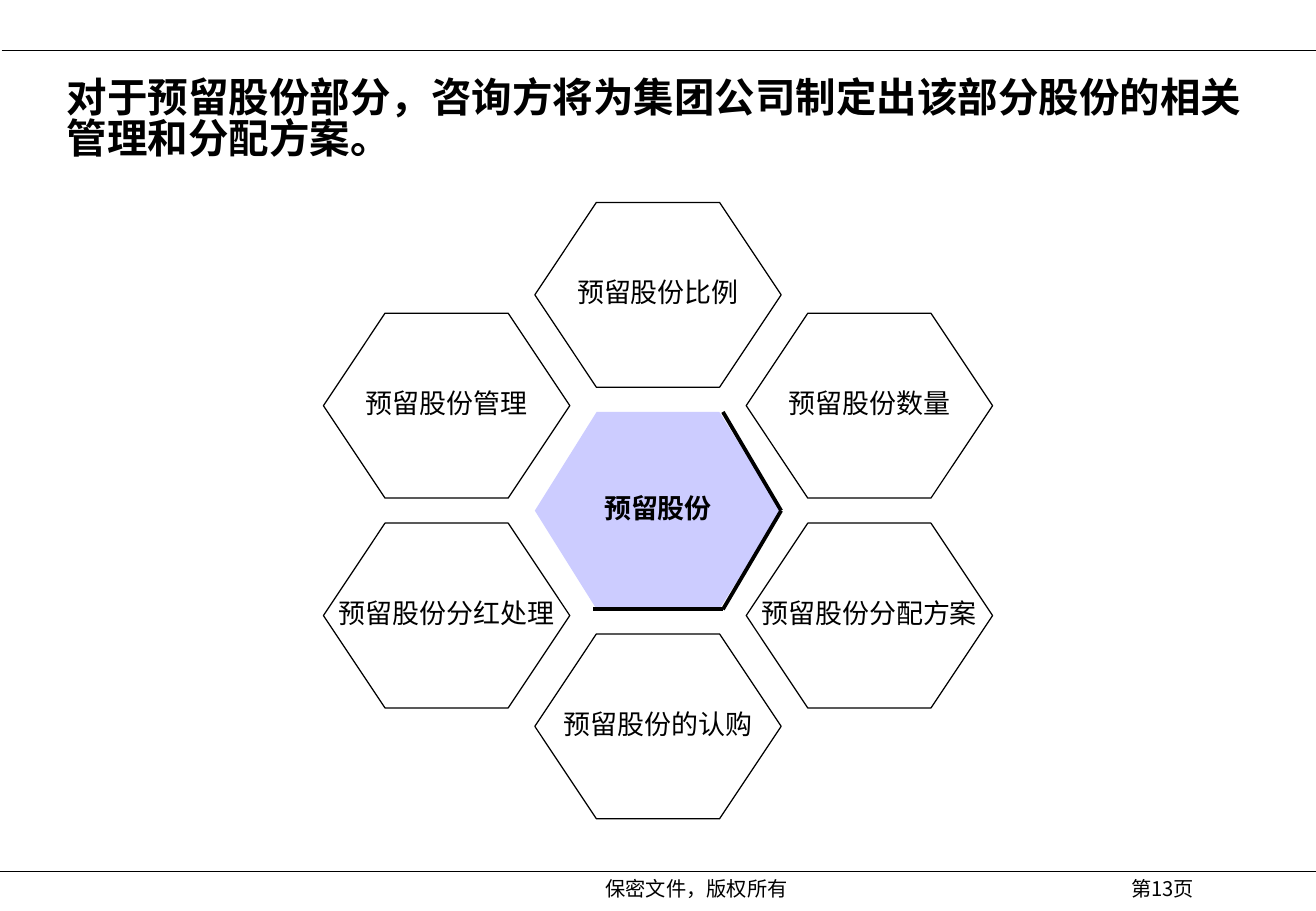
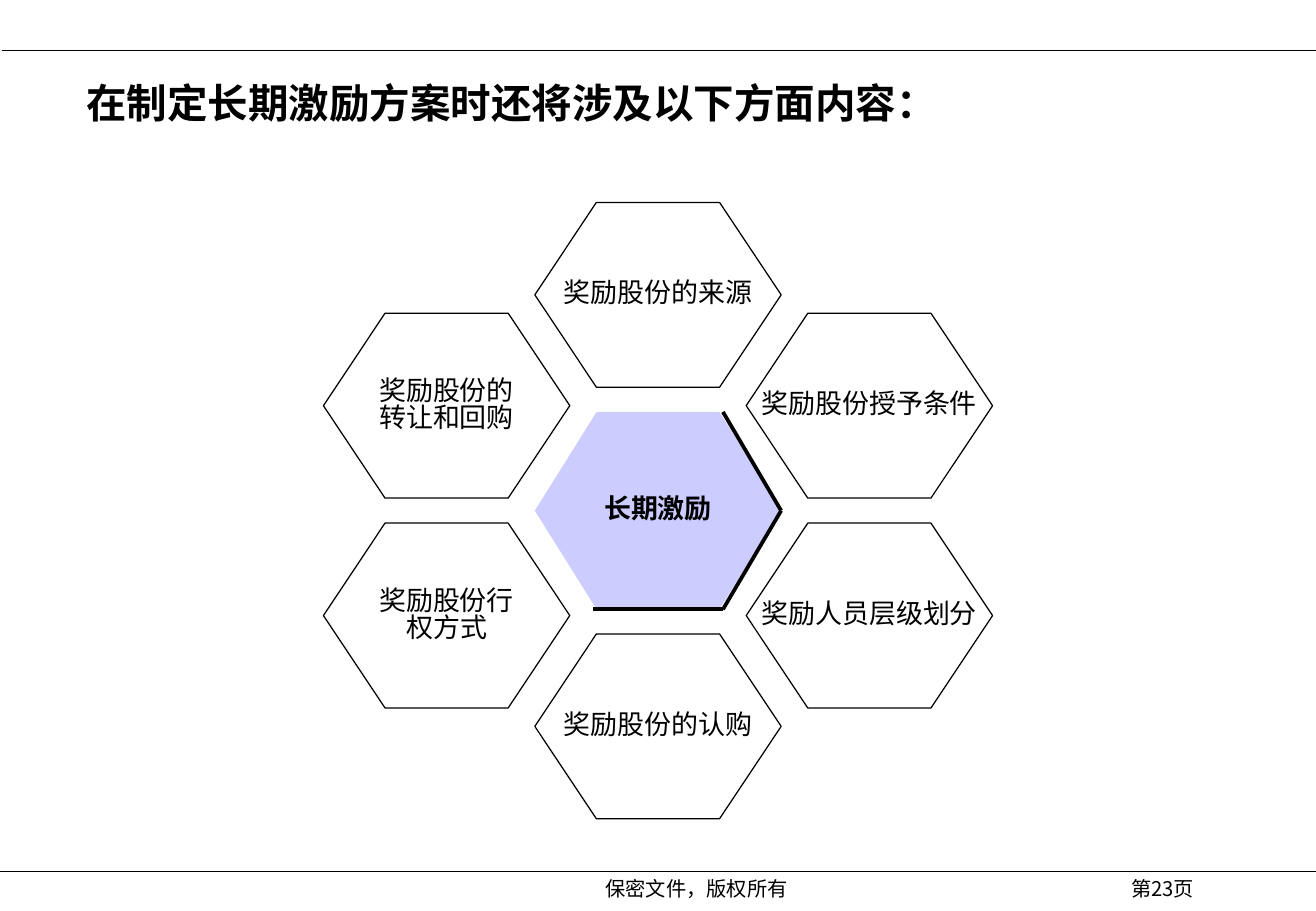
"""Builds two honeycomb slides on reserved shares and long-term incentives."""
from dataclasses import dataclass

from lxml import etree
from pptx import Presentation
from pptx.dml.color import RGBColor
from pptx.enum.lang import MSO_LANGUAGE_ID
from pptx.enum.shapes import MSO_CONNECTOR, MSO_SHAPE
from pptx.enum.text import MSO_ANCHOR, MSO_AUTO_SIZE, PP_ALIGN
from pptx.oxml.ns import qn
from pptx.util import Pt

CHINESE = MSO_LANGUAGE_ID.SIMPLIFIED_CHINESE
STRAIGHT = MSO_CONNECTOR.STRAIGHT
HEXAGON = MSO_SHAPE.HEXAGON
TOP, MIDDLE = MSO_ANCHOR.TOP, MSO_ANCHOR.MIDDLE
NO_FIT = MSO_AUTO_SIZE.NONE
LEFT, CENTER = PP_ALIGN.LEFT, PP_ALIGN.CENTER


@dataclass(frozen=True)
class Theme:
    ink: RGBColor = RGBColor(0, 0, 0)
    core: RGBColor = RGBColor(0xCC, 0xCC, 0xFF)
    latin: str = "Times New Roman"
    asian: str = "Noto Sans CJK SC"
    title: Pt = Pt(24)
    label: Pt = Pt(16)
    footer: Pt = Pt(12)
    thin: Pt = Pt(0.75)
    thick: Pt = Pt(2.25)
    spacing: float = 0.83


T = Theme()
FORMATS = {
    "title": {"size": T.title, "bold": True, "name": T.latin},
    "core": {"size": T.label, "bold": True, "name": T.latin},
    "label": {"size": T.label, "bold": False, "name": T.latin},
    "footer": {"size": T.footer, "bold": False, "name": T.latin},
    "page": {"size": T.footer, "bold": False, "name": T.asian},
}


def write(sp, text, style, align=CENTER, anchor=MIDDLE, wrap=True):
    tf = sp.text_frame
    frame = {"word_wrap": wrap, "auto_size": NO_FIT, "vertical_anchor": anchor}
    for key, value in frame.items():
        setattr(tf, key, value)
    p = tf.paragraphs[0]
    p.alignment, p.line_spacing, p.space_before = align, T.spacing, Pt(0)
    r = p.add_run()
    r.text = text
    for key, value in FORMATS[style].items():
        setattr(r.font, key, value)
    r.font.color.rgb = T.ink
    r.font.language_id = CHINESE
    etree.SubElement(r.font._element, qn("a:ea"), typeface=T.asian)


def rule(s, start, end, width):
    line = s.shapes.add_connector(STRAIGHT, *(Pt(v) for v in (*start, *end)))
    line.line.color.rgb = T.ink
    line.line.width = width
    etree.SubElement(line._element.spPr, qn("a:effectLst"))


WIDTH, HEIGHT = 780, 540
CX, CY = 390, 302.7
HEX_W = 146
RING_H, CORE_H = 109.6, 117
RING = [(125.3, 62.2), (125.3, -62.2), (0, -127.9),
        (-125.3, -62.2), (0, 127.9), (-125.3, 62.2)]
EDGE = [(-38.5, 58.5), (38.5, 58.5), (73, 0), (38.5, -58.5)]

SLIDES = [
    {"page": "第13页",
     "title": "对于预留股份部分，咨询方将为集团公司制定出该部分股份的相关管理和分配方案。",
     "box": (32.4, 37.4, 714.2, 68.4),
     "core": "预留股份",
     "ring": ["预留股份分配方案", "预留股份数量", "预留股份比例",
              "预留股份管理", "预留股份的认购", "预留股份分红处理"],
     "wrapped": []},
    {"page": "第23页",
     "title": "在制定长期激励方案时还将涉及以下方面内容：",
     "box": (43.9, 37.4, 677.5, 51.1),
     "core": "长期激励",
     "ring": ["奖励人员层级划分", "奖励股份授予条件", "奖励股份的来源",
              "奖励股份的转让和回购", "奖励股份的认购", "奖励股份行权方式"],
     "wrapped": ["奖励股份的转让和回购", "奖励股份行权方式"]},
]

prs = Presentation()
prs.slide_width, prs.slide_height = Pt(WIDTH), Pt(HEIGHT)

for data in SLIDES:
    s = prs.slides.add_slide(prs.slide_layouts[5])
    title = s.shapes.title
    for key, value in zip(("left", "top", "width", "height"), data["box"]):
        setattr(title, key, Pt(value))
    write(title, data["title"], "title", align=LEFT)

    rule(s, (0, 516.8), (WIDTH, 516.8), T.thin)
    rule(s, (1, 30), (WIDTH, 30), T.thin)
    for text, style, left, width in (
            (data["page"], "page", 630.7, 116.6),
            ("保密文件，版权所有", "footer", 201.6, 422.6)):
        sp = s.shapes.add_textbox(Pt(left), Pt(518.4), Pt(width), Pt(21.6))
        write(sp, text, style, anchor=TOP)

    cells = [(data["core"], "core", (0, 0), CORE_H, 0.313)]
    cells += [(text, "label", offset, RING_H, 0.333)
              for text, offset in zip(data["ring"], RING)]
    for text, style, (dx, dy), height, bevel in cells:
        sp = s.shapes.add_shape(HEXAGON, Pt(CX + dx - HEX_W / 2),
                                Pt(CY + dy - height / 2), Pt(HEX_W), Pt(height))
        sp.adjustments[0] = bevel
        sp.shadow.inherit = False
        if style == "core":
            sp.fill.solid()
            sp.fill.fore_color.rgb = T.core
            sp.line.fill.background()
        else:
            sp.fill.background()
            sp.line.color.rgb = T.ink
            sp.line.width = T.thin
        write(sp, text, style, wrap=text in data["wrapped"])

    corners = [(CX + dx, CY + dy) for dx, dy in EDGE]
    for start, end in zip(corners, corners[1:]):
        rule(s, start, end, T.thick)

prs.save("out.pptx")
